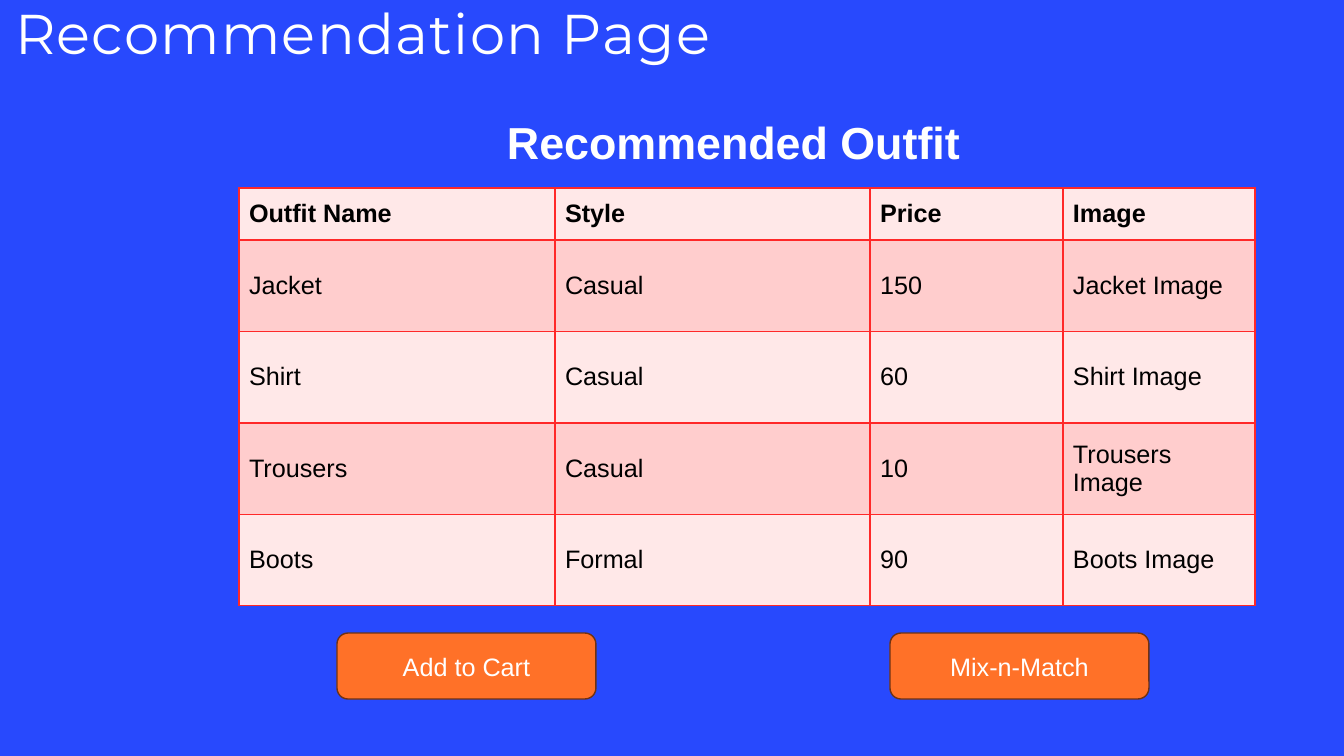
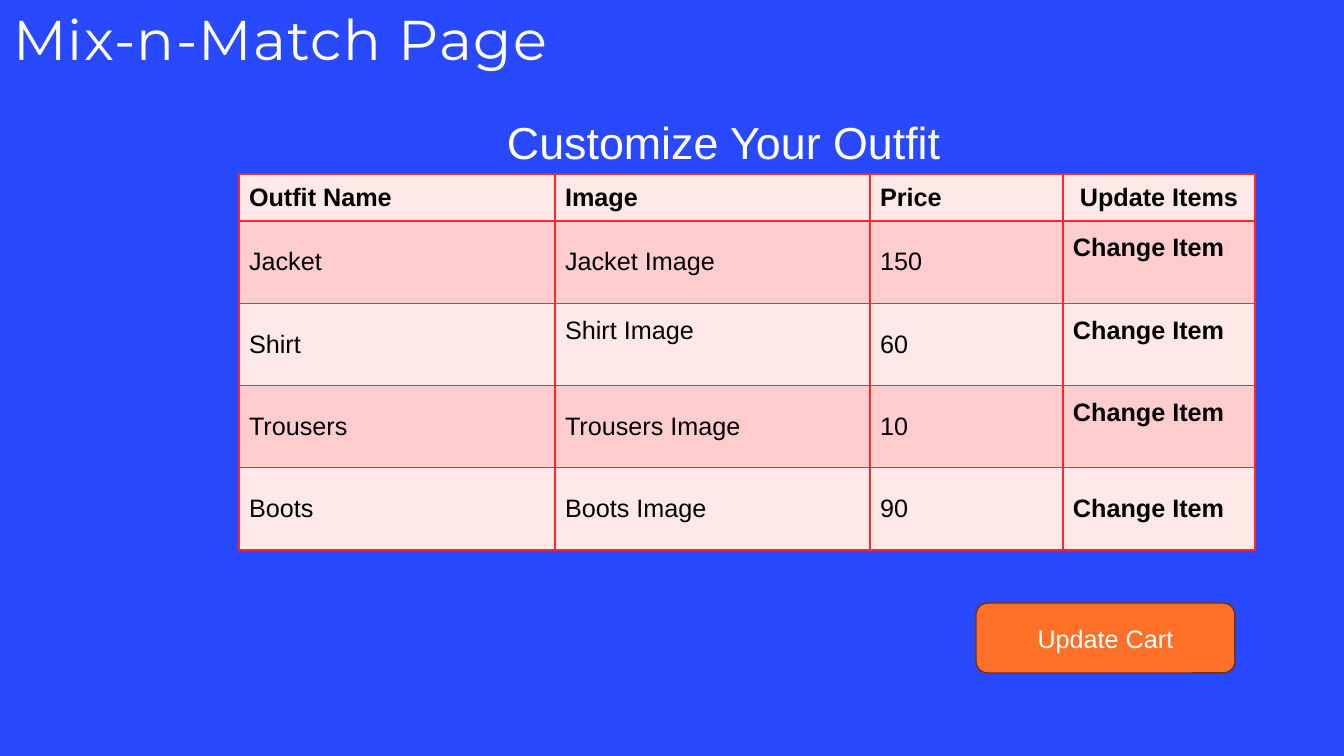
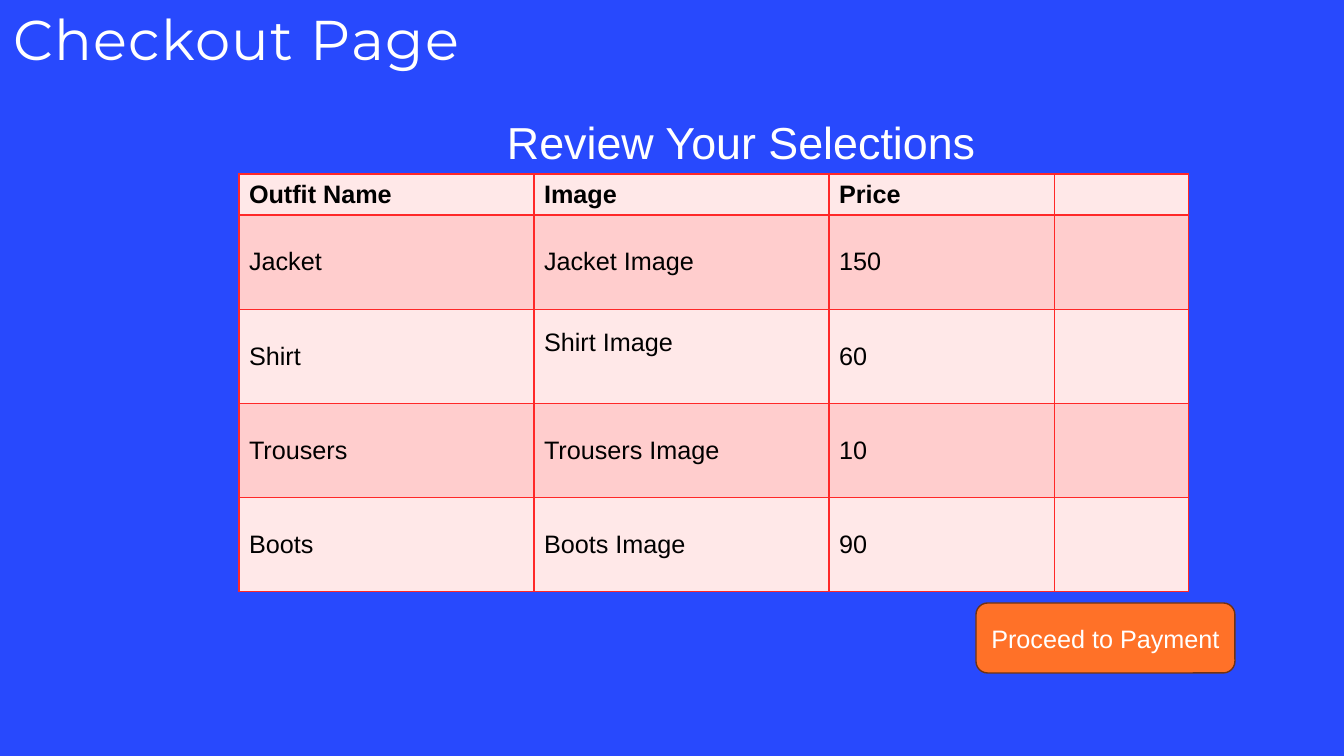
from lxml.etree import SubElement
from pptx import Presentation
from pptx.dml.color import RGBColor
from pptx.enum.shapes import MSO_SHAPE
from pptx.enum.text import MSO_ANCHOR, MSO_AUTO_SIZE, PP_ALIGN
from pptx.oxml.ns import qn
from pptx.util import Pt

PX = 12192000 / 1344
COLORS = {
    "background": "2849FD",
    "white": "FFFFFF",
    "black": "000000",
    "light row": "FFE8E8",
    "dark row": "FFCDCD",
    "border": "FF2828",
    "button": "FF7128",
    "button edge": "703212",
}
CELL_INSET = 10
LINE_HEIGHT = 28

PAGES = [
    {
        "title": "Recommendation Page", "title_at": (15, 6),
        "heading": "Recommended Outfit", "heading_bold": True,
        "table_top": 188, "table_height": 418, "header_height": 52,
        "columns": [316, 315, 193, 192],
        "rows": [
            ["Outfit Name", "Style", "Price", "Image"],
            ["Jacket", "Casual", "150", "Jacket Image"],
            ["Shirt", "Casual", "60", "Shirt Image"],
            ["Trousers", "Casual", "10", "Trousers Image"],
            ["Boots", "Formal", "90", "Boots Image"],
        ],
        "raised": [], "indented": [],
        "buttons": [("Mix-n-Match", 890, 633, 66), ("Add to Cart", 337, 633, 66)],
    },
    {
        "title": "Mix-n-Match Page", "title_at": (13, 12),
        "heading": "Customize Your Outfit", "heading_bold": False,
        "table_top": 174, "table_height": 376, "header_height": 47,
        "columns": [316, 315, 193, 192],
        "rows": [
            ["Outfit Name", "Image", "Price", "Update Items"],
            ["Jacket", "Jacket Image", "150", "Change Item"],
            ["Shirt", "Shirt Image", "60", "Change Item"],
            ["Trousers", "Trousers Image", "10", "Change Item"],
            ["Boots", "Boots Image", "90", "Change Item"],
        ],
        "raised": [(1, 3), (2, 1), (2, 3), (3, 3)], "indented": [(0, 3)],
        "buttons": [("Update Cart", 976, 603, 70)],
    },
    {
        "title": "Checkout Page", "title_at": (13, 12),
        "heading": "Review Your Selections", "heading_bold": False,
        "table_top": 174, "table_height": 418, "header_height": 41,
        "columns": [295, 295, 226, 134],
        "rows": [
            ["Outfit Name", "Image", "Price", ""],
            ["Jacket", "Jacket Image", "150", ""],
            ["Shirt", "Shirt Image", "60", ""],
            ["Trousers", "Trousers Image", "10", ""],
            ["Boots", "Boots Image", "90", ""],
        ],
        "raised": [(2, 1)], "indented": [],
        "buttons": [("Proceed to Payment", 976, 603, 70)],
    },
]


def emu(*lengths):
    """Turn lengths in px into a list of EMU."""
    return [round(length * PX) for length in lengths]


def add_run(paragraph, text, size, color="white", bold=False, font="Arial"):
    run = paragraph.add_run()
    run.text = text
    run.font.size = Pt(size)
    run.font.name = font
    run.font.bold = bold
    run.font.color.rgb = RGBColor.from_string(COLORS[color])
    return run


deck = Presentation()
deck.slide_width, deck.slide_height = emu(1344, 756)
master_fill = deck.slide_master.background.fill
master_fill.solid()
master_fill.fore_color.rgb = RGBColor.from_string(COLORS["background"])
title_only = deck.slide_layouts[5]

for page in PAGES:
    slide = deck.slides.add_slide(title_only)

    title = slide.shapes.title
    title.left, title.top, title.width, title.height = emu(*page["title_at"], 1241, 256)
    title_frame = title.text_frame
    title_frame.auto_size = MSO_AUTO_SIZE.NONE
    title_frame.word_wrap = True
    title_frame.vertical_anchor = MSO_ANCHOR.TOP
    title_frame.margin_left = title_frame.margin_right = 0
    title_frame.margin_top = title_frame.margin_bottom = 0
    title_line = title_frame.paragraphs[0]
    title_line.alignment = PP_ALIGN.LEFT
    title_line.line_spacing = 0.9
    title_run = add_run(title_line, page["title"], 40, font="Montserrat")
    title_run.font._element.set("spc", "100")

    rows, columns = page["rows"], page["columns"]
    outfits = slide.shapes.add_table(
        len(rows), len(columns),
        *emu(239, page["table_top"], sum(columns), page["table_height"])).table
    for column, width in zip(outfits.columns, columns):
        column.width = emu(width)[0]
    item_height = (page["table_height"] - page["header_height"]) / (len(rows) - 1)
    for r, labels in enumerate(rows):
        outfits.rows[r].height = emu(item_height if r else page["header_height"])[0]
        for c, label in enumerate(labels):
            cell = outfits.cell(r, c)
            cell.vertical_anchor = MSO_ANCHOR.MIDDLE
            if (r, c) in page["raised"]:
                cell.margin_bottom = emu(5 + LINE_HEIGHT)[0]
            if (r, c) in page["indented"]:
                cell.margin_left = emu(CELL_INSET + 7)[0]
            cell_properties = cell._tc.get_or_add_tcPr()
            for side in ("lnL", "lnR", "lnT", "lnB"):
                border = SubElement(cell_properties, qn(f"a:{side}"), w=str(Pt(1)))
                border_fill = SubElement(border, qn("a:solidFill"))
                SubElement(border_fill, qn("a:srgbClr"), val=COLORS["border"])
            cell.fill.solid()
            row_color = COLORS["dark row" if r % 2 else "light row"]
            cell.fill.fore_color.rgb = RGBColor.from_string(row_color)
            if label:
                bold = r == 0 or label == "Change Item"
                add_run(cell.text_frame.paragraphs[0], label, 18, "black", bold)

    for caption, left, top, height in page["buttons"]:
        button = slide.shapes.add_shape(
            MSO_SHAPE.ROUNDED_RECTANGLE, *emu(left, top, 259, height))
        button.shadow.inherit = False
        button.fill.solid()
        button.fill.fore_color.rgb = RGBColor.from_string(COLORS["button"])
        button.line.color.rgb = RGBColor.from_string(COLORS["button edge"])
        button.line.width = Pt(1)
        button.text_frame.vertical_anchor = MSO_ANCHOR.MIDDLE
        button_line = button.text_frame.paragraphs[0]
        button_line.alignment = PP_ALIGN.CENTER
        add_run(button_line, caption, 18)

    heading = slide.shapes.add_textbox(*emu(497, 110, 623, 64)).text_frame
    heading.word_wrap = True
    heading.auto_size = MSO_AUTO_SIZE.SHAPE_TO_FIT_TEXT
    add_run(heading.paragraphs[0], page["heading"], 32, bold=page["heading_bold"])

deck.save("out.pptx")
